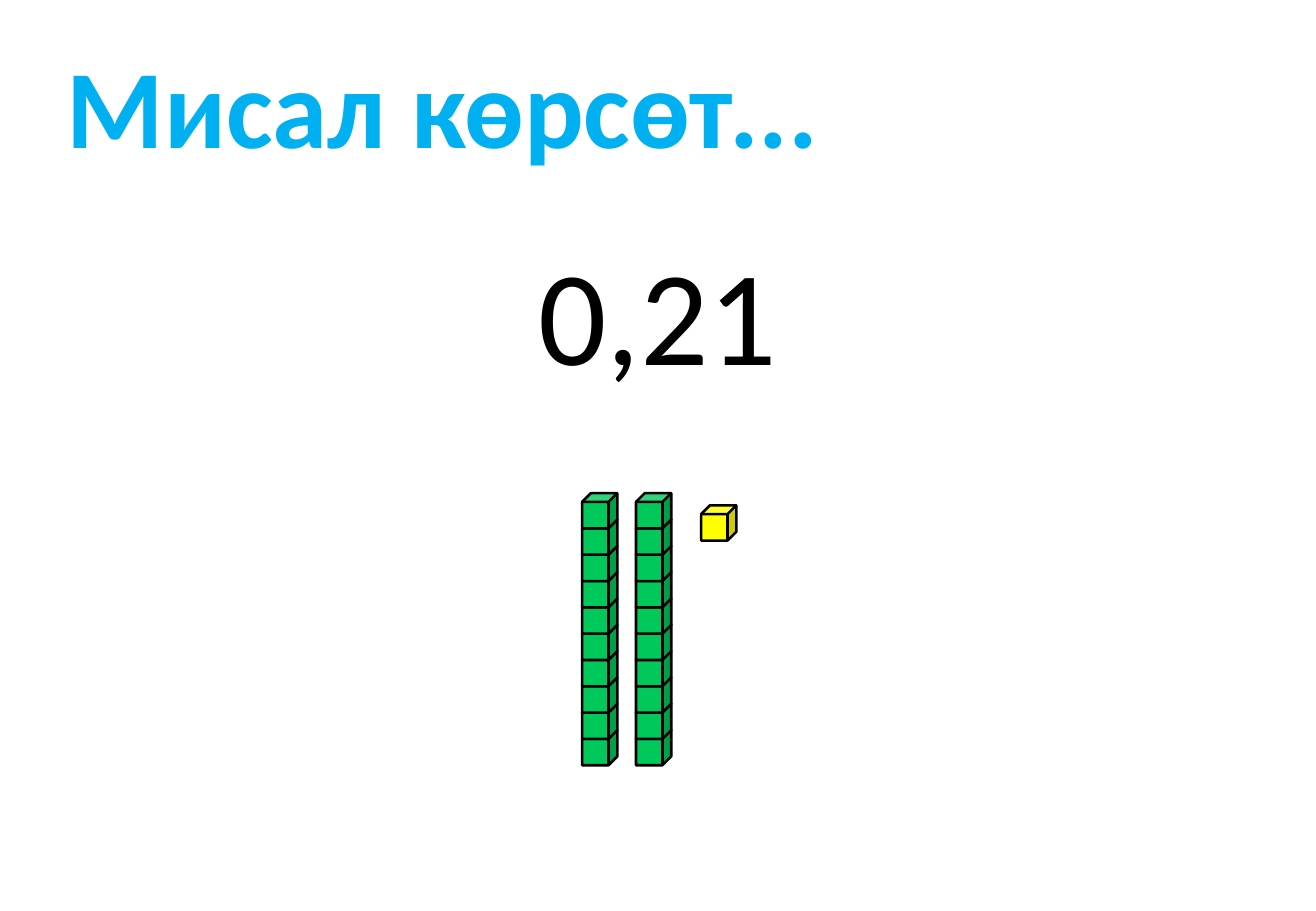
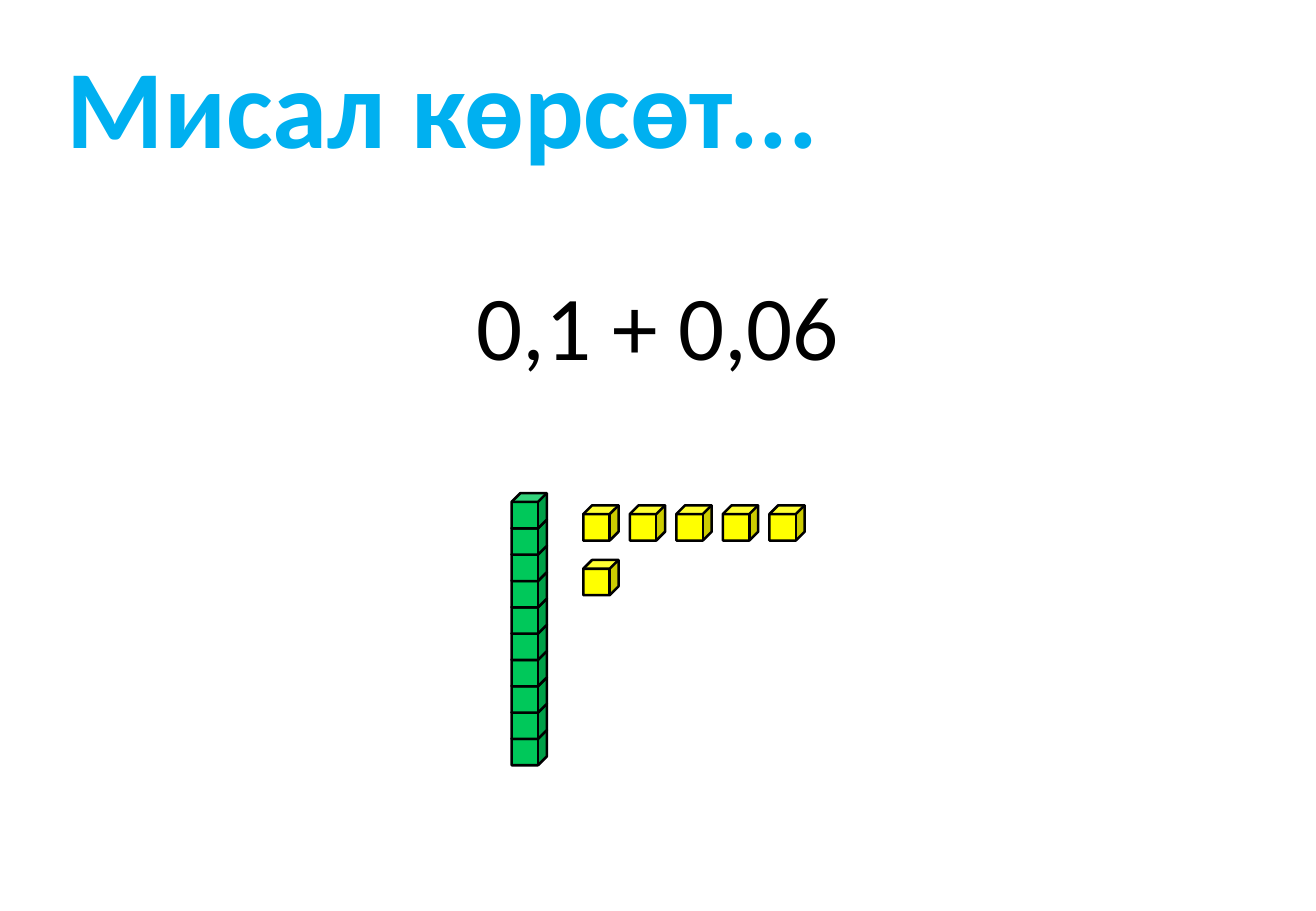
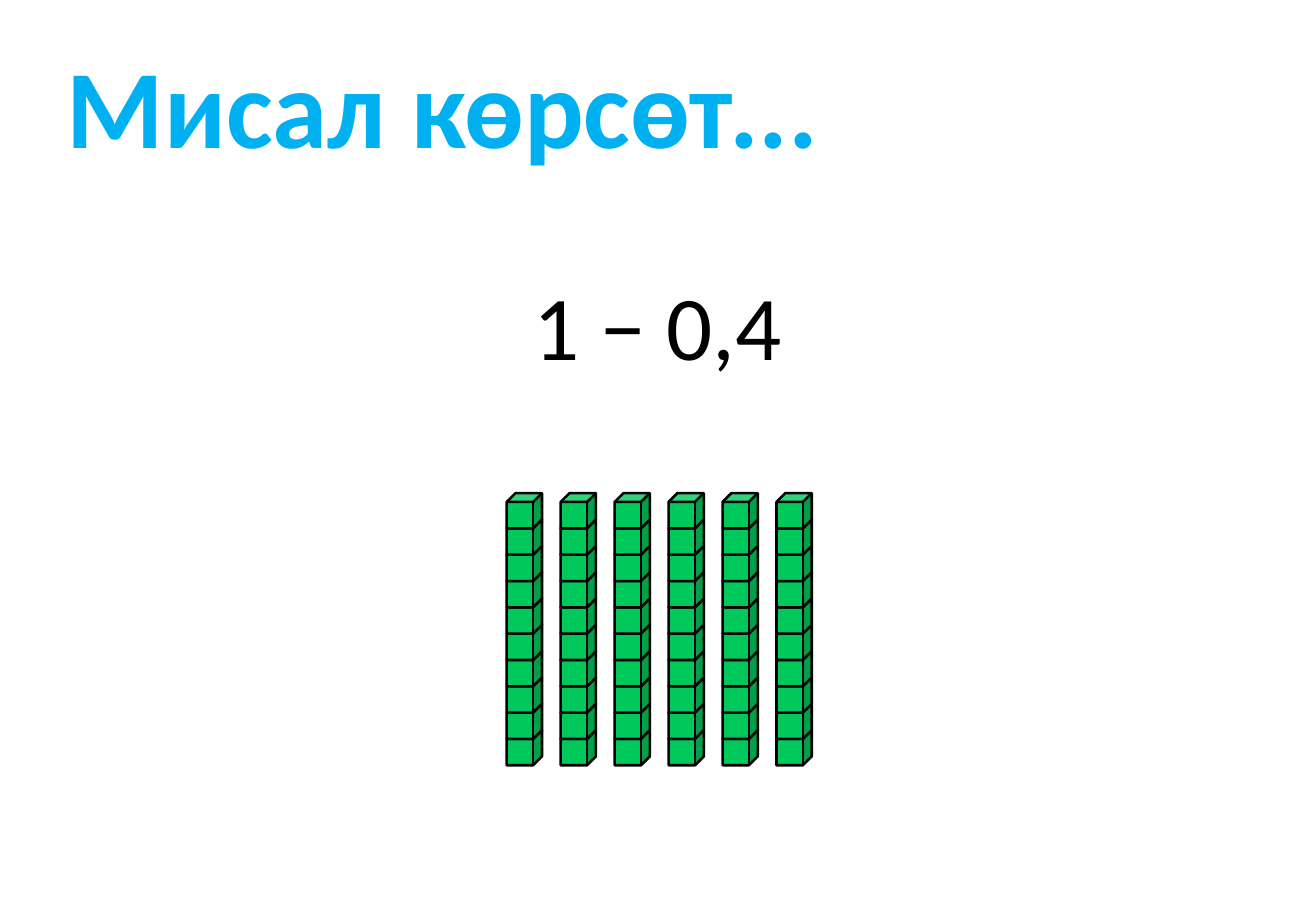
from pptx import Presentation
from pptx.dml.color import RGBColor
from pptx.enum import shapes, text
from pptx.util import Inches, Pt

# Shared look
WIDTH, HEIGHT = 10.83, 7.5
FONT = "Calibri"
BLACK, BLUE, GREEN, YELLOW = "000000", "00B0F0", "00C85A", "FFFF00"
TITLE = "Мисал көрсөт..."

# Block grid, in inches
CUBE = 0.29
ROD_TOP, ROD_BOTTOM, ROD_CUBES = 4.06, 6.01, 10
ROD_STEP = (ROD_BOTTOM - ROD_TOP) / (ROD_CUBES - 1)
ROD_GAP = 0.444
ONES_TOP, ONES_PER_ROW = 4.16, 5
ONES_COLUMN, ONES_ROW = 0.383, 0.45


def color(value):
    return RGBColor.from_string(value)


def add_text(page, words, left, top, width, height, size, fill, bold=False):
    box = page.shapes.add_textbox(*map(Inches, (left, top, width, height)))
    frame = box.text_frame
    frame.auto_size = text.MSO_AUTO_SIZE.SHAPE_TO_FIT_TEXT
    span = frame.paragraphs[0].add_run()
    span.text = words
    span.font.name = FONT
    span.font.size = Pt(size)
    span.font.bold = bold
    span.font.color.rgb = color(fill)
    return frame


def add_title(page):
    frame = add_text(page, TITLE, 0.24, 0.26, 7.54, 1.21, 66, BLUE, bold=True)
    frame.word_wrap = True
    frame.margin_left = Inches(0.31)


def add_number(page, words, top, width, height, size):
    left = (WIDTH - width) / 2
    frame = add_text(page, words, left, top, width, height, size, BLACK)
    frame.word_wrap = False
    frame.paragraphs[0].alignment = text.PP_ALIGN.CENTER


def add_cube(group, left, top, fill):
    cube = group.shapes.add_shape(
        shapes.MSO_SHAPE.CUBE, *map(Inches, (left, top, CUBE, CUBE)))
    cube.shadow.inherit = False
    cube.fill.solid()
    cube.fill.fore_color.rgb = color(fill)
    cube.line.color.rgb = color(BLACK)
    cube.line.width = Pt(1.5)


def add_rods(page, left, count):
    """Tenths: each rod is stacked from the bottom cube up."""
    for column in range(count):
        group = page.shapes.add_group_shape()
        for level in range(ROD_CUBES):
            add_cube(group, left + column * ROD_GAP,
                     ROD_BOTTOM - level * ROD_STEP, GREEN)


def add_ones(page, left, count):
    """Hundredths: single cubes in rows of five."""
    group = page.shapes.add_group_shape()
    for index in range(count):
        row, column = divmod(index, ONES_PER_ROW)
        add_cube(group, left + column * ONES_COLUMN,
                 ONES_TOP + row * ONES_ROW, YELLOW)


def main():
    deck = Presentation()
    deck.slide_width, deck.slide_height = Inches(WIDTH), Inches(HEIGHT)

    # Number (words, top, width, height, size), rods and ones (left, count)
    examples = [
        (("0,21", 1.85, 2.19, 1.45, 80), (4.79, 2), (5.77, 1)),
        (("0,1 + 0,06", 2.17, 3.22, 1.01, 54), (4.21, 1), (4.8, 6)),
        (("1 − 0,4", 2.17, 2.27, 1.01, 54), (4.17, 6), None),
    ]
    for number, rods, ones in examples:
        page = deck.slides.add_slide(deck.slide_layouts[6])
        add_number(page, *number)
        add_rods(page, *rods)
        if ones:
            add_ones(page, *ones)
        add_title(page)

    deck.save("out.pptx")


if __name__ == "__main__":
    main()
